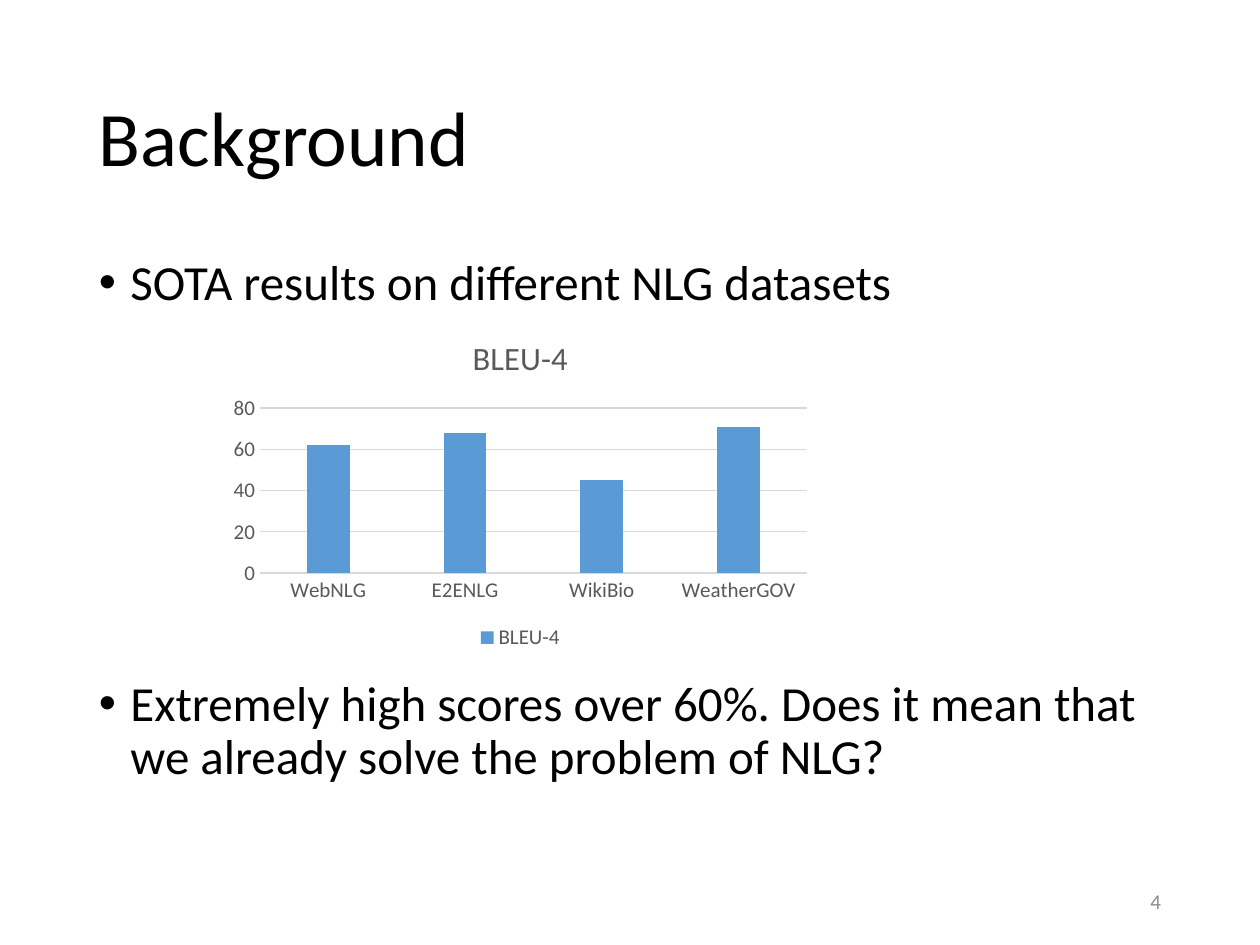
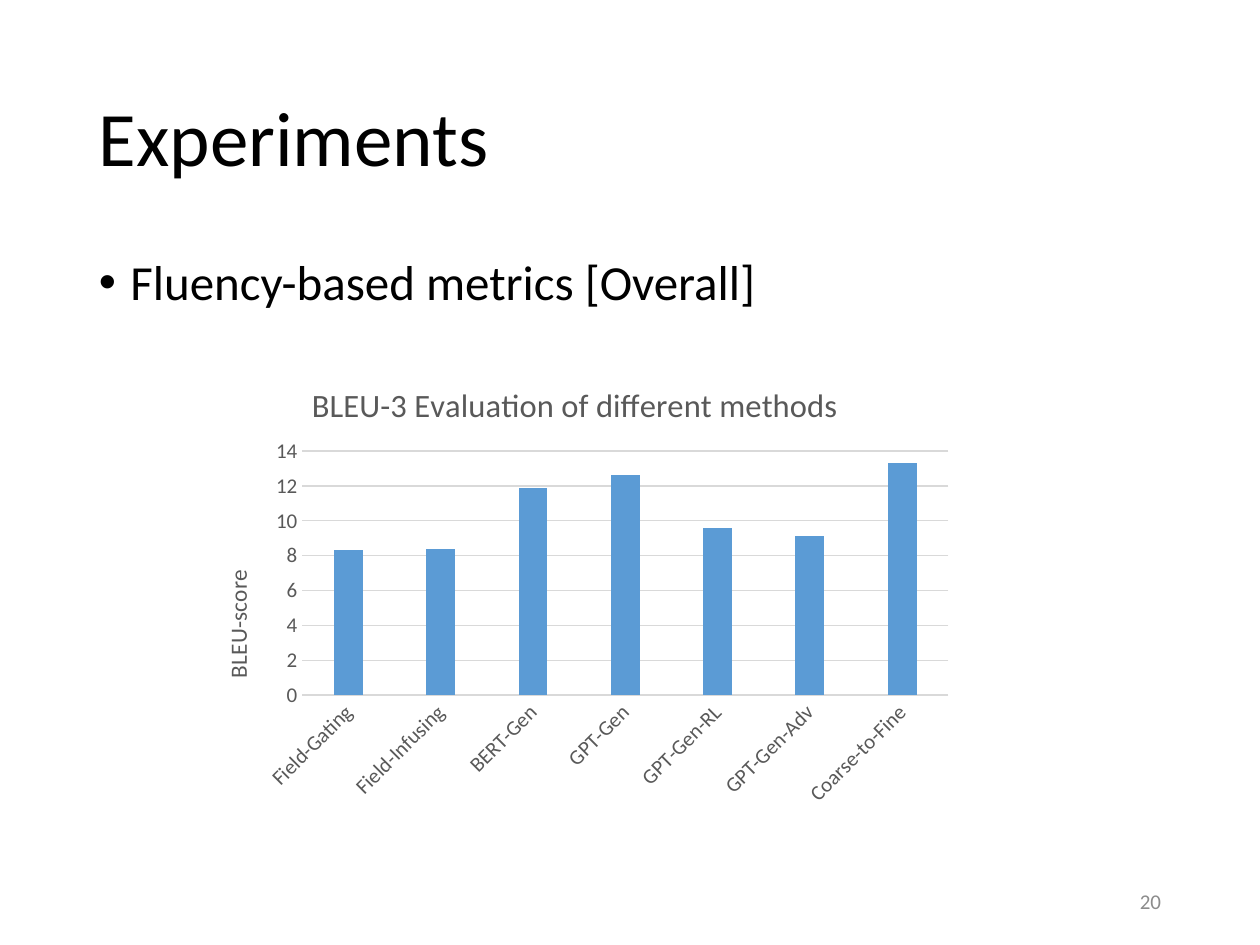
from dataclasses import dataclass

from lxml.etree import SubElement
from pptx import Presentation
from pptx.chart.data import CategoryChartData
from pptx.dml.color import RGBColor
from pptx.enum.chart import XL_CHART_TYPE, XL_LEGEND_POSITION, XL_TICK_MARK
from pptx.enum.text import MSO_ANCHOR, PP_ALIGN
from pptx.oxml import parse_xml
from pptx.oxml.ns import nsdecls, qn
from pptx.util import Pt


@dataclass(frozen=True)
class Theme:
    font: str = "Calibri"
    text: RGBColor = RGBColor(0x00, 0x00, 0x00)
    number: RGBColor = RGBColor(0x8C, 0x8C, 0x8C)
    chart_text: RGBColor = RGBColor(0x59, 0x59, 0x59)
    grid: RGBColor = RGBColor(0xD9, 0xD9, 0xD9)
    bar: RGBColor = RGBColor(0x5B, 0x9B, 0xD5)
    title_size: float = 44
    body_size: float = 28
    small_size: float = 12
    chart_title_size: float = 18.6
    axis_title_size: float = 13.3


theme = Theme()

slides = [
    {
        "title": "Background",
        "number": "4",
        # Each bullet with the space before it
        "bullets": [
            ("SOTA results on different NLG datasets", 10),
            ("Extremely high scores over 60%. Does it mean that "
             "we already solve the problem of NLG?", 210.5),
        ],
        "chart_box": (126.72, 180.72, 341.28, 193.68),
        "plot_area": {"x": 0.064, "y": 0.271, "w": 0.916, "h": 0.487},
        "chart_title": "BLEU-4",
        "series": "BLEU-4",
        "scores": {"WebNLG": 62, "E2ENLG": 68, "WikiBio": 45, "WeatherGOV": 71},
        "scale": (80, 20),
        "legend": True,
        "axis_title": None,
        "label_angle": 0,
    },
    {
        "title": "Experiments",
        "number": "20",
        "bullets": [("Fluency-based metrics [Overall]", 10)],
        "chart_box": (106.56, 205.92, 444.24, 260.64),
        "plot_area": {"x": 0.149, "y": 0.199, "w": 0.831, "h": 0.535},
        "chart_title": "BLEU-3 Evaluation of different methods",
        "series": "Series 1",
        "scores": {
            "Field-Gating": 8.3, "Field-Infusing": 8.4, "BERT-Gen": 11.9,
            "GPT-Gen": 12.6, "GPT-Gen-RL": 9.6, "GPT-Gen-Adv": 9.1,
            "Coarse-to-Fine": 13.3,
        },
        "scale": (14, 2),
        "legend": False,
        "axis_title": "BLEU-score",
        "label_angle": -45,
    },
]


def add_run(paragraph, text, size, color):
    run = paragraph.add_run()
    run.text = text
    run.font.name = theme.font
    run.font.size = Pt(size)
    run.font.bold = False
    run.font.color.rgb = color


def set_layout(element, index, fractions, inner=False):
    """Place a chart part by fractions of the chart's width and height."""
    for old_layout in element.findall(qn("c:layout")):
        element.remove(old_layout)
    layout = parse_xml(f"<c:layout {nsdecls('c')}><c:manualLayout/></c:layout>")
    if inner:
        SubElement(layout[0], qn("c:layoutTarget")).set("val", "inner")
    for side in ("x", "y"):
        SubElement(layout[0], qn(f"c:{side}Mode")).set("val", "edge")
    for side, fraction in fractions.items():
        SubElement(layout[0], qn(f"c:{side}")).set("val", str(fraction))
    element.insert(index, layout)


presentation = Presentation()
presentation.slide_width, presentation.slide_height = Pt(720), Pt(540)

for content in slides:
    slide = presentation.slides.add_slide(presentation.slide_layouts[6])

    # Title, body and slide number frames
    frames = []
    for left, top, width, height, anchor in (
        (49.5, 28.75, 621, 104.4, MSO_ANCHOR.MIDDLE),
        (49.5, 143.75, 621, 342.6, MSO_ANCHOR.TOP),
        (508.5, 500.5, 162, 28.75, MSO_ANCHOR.MIDDLE),
    ):
        shape = slide.shapes.add_textbox(Pt(left), Pt(top), Pt(width), Pt(height))
        shape.text_frame.word_wrap = True
        shape.text_frame.vertical_anchor = anchor
        frames.append(shape.text_frame)
    title, body, number = frames

    title.paragraphs[0].line_spacing = 0.9
    add_run(title.paragraphs[0], content["title"], theme.title_size, theme.text)
    number.paragraphs[0].alignment = PP_ALIGN.RIGHT
    add_run(number.paragraphs[0], content["number"], theme.small_size, theme.number)

    # Bullets
    for index, (text, space_before) in enumerate(content["bullets"]):
        paragraph = body.add_paragraph() if index else body.paragraphs[0]
        paragraph.line_spacing = 0.9
        paragraph.space_before = Pt(space_before)
        properties = paragraph._p.get_or_add_pPr()
        properties.set("marL", str(Pt(18)))
        properties.set("indent", str(-Pt(18)))
        SubElement(properties, qn("a:buFont")).set("typeface", "Arial")
        SubElement(properties, qn("a:buChar")).set("char", "•")
        add_run(paragraph, text, theme.body_size, theme.text)

    # Column chart
    data = CategoryChartData()
    data.categories = list(content["scores"])
    data.add_series(content["series"], list(content["scores"].values()))
    chart = slide.shapes.add_chart(
        XL_CHART_TYPE.COLUMN_CLUSTERED, *map(Pt, content["chart_box"]), data
    ).chart
    chart.font.name = theme.font
    chart.font.size = Pt(theme.small_size)
    chart.font.color.rgb = theme.chart_text
    add_run(chart.chart_title.text_frame.paragraphs[0], content["chart_title"],
            theme.chart_title_size, theme.chart_text)
    chart.chart_title.include_in_layout = False
    chart.has_legend = content["legend"]
    if content["legend"]:
        chart.legend.position = XL_LEGEND_POSITION.BOTTOM
        chart.legend.include_in_layout = False

    plot = chart.plots[0]
    plot.vary_by_categories = False
    plot.gap_width, plot.overlap = 219, -27
    fill = plot.series[0].format.fill
    fill.solid()
    fill.fore_color.rgb = theme.bar
    set_layout(chart.element.find(".//" + qn("c:plotArea")), 0,
               content["plot_area"], inner=True)

    # Axes
    category_axis, value_axis = chart.category_axis, chart.value_axis
    for axis in (category_axis, value_axis):
        axis.major_tick_mark = axis.minor_tick_mark = XL_TICK_MARK.NONE
        axis.tick_labels.font.name = theme.font
        axis.tick_labels.font.size = Pt(theme.small_size)
        axis.tick_labels.font.color.rgb = theme.chart_text
    for line in (category_axis.format.line, value_axis.major_gridlines.format.line):
        line.color.rgb = theme.grid
        line.width = Pt(0.75)
    value_axis.format.line.fill.background()
    value_axis.minimum_scale = 0
    value_axis.maximum_scale, value_axis.major_unit = content["scale"]
    label_body = category_axis._element.find(qn("c:txPr")).find(qn("a:bodyPr"))
    label_body.set("rot", str(content["label_angle"] * 60000))

    if content["axis_title"]:
        axis_title = value_axis.axis_title
        add_run(axis_title.text_frame.paragraphs[0], content["axis_title"],
                theme.axis_title_size, theme.chart_text)
        axis_title.text_frame._txBody.bodyPr.set("rot", str(-90 * 60000))
        axis_title.text_frame._txBody.bodyPr.set("vert", "horz")
        set_layout(axis_title._element, 1, {"x": 0.04, "y": 0.45})

presentation.save("out.pptx")
